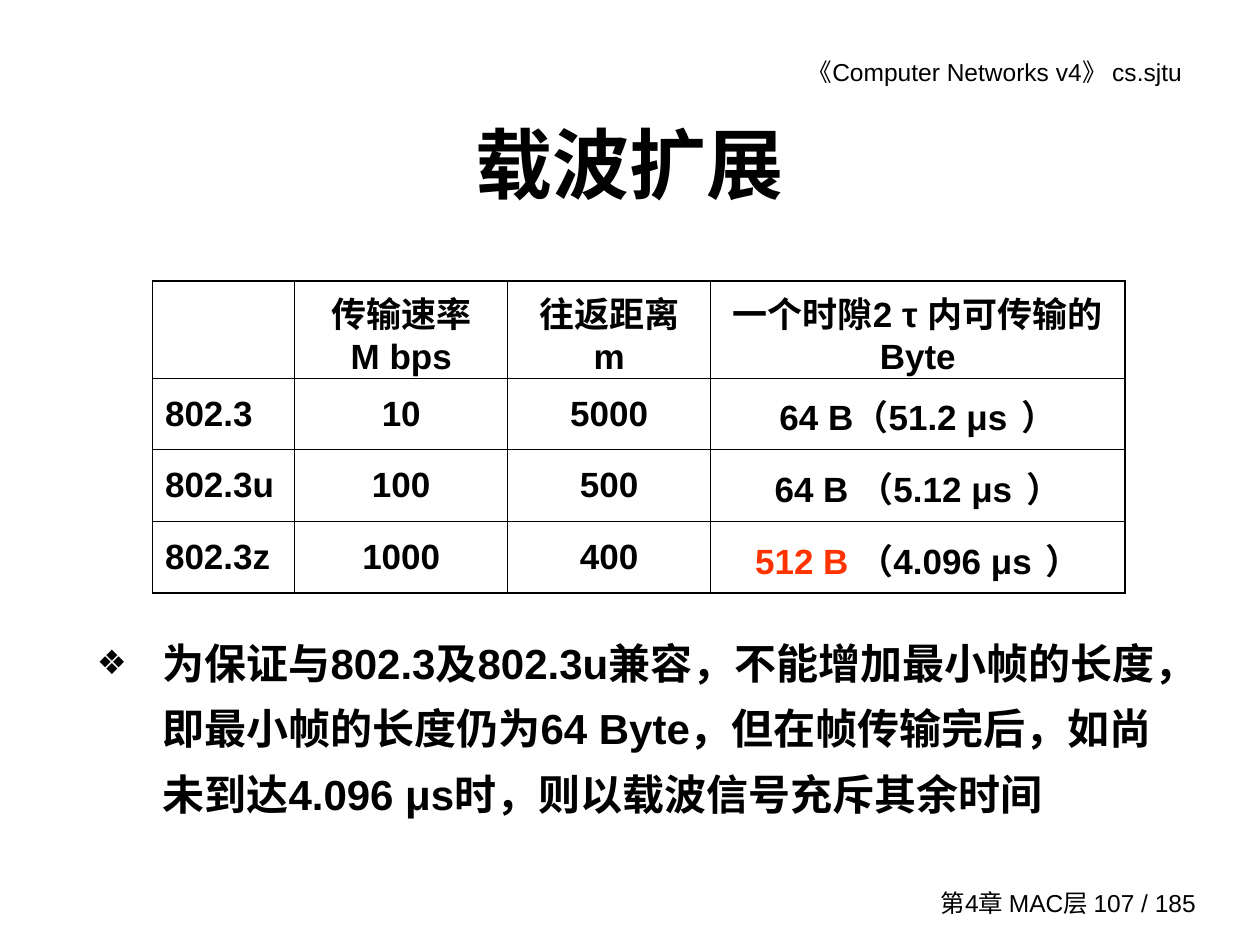
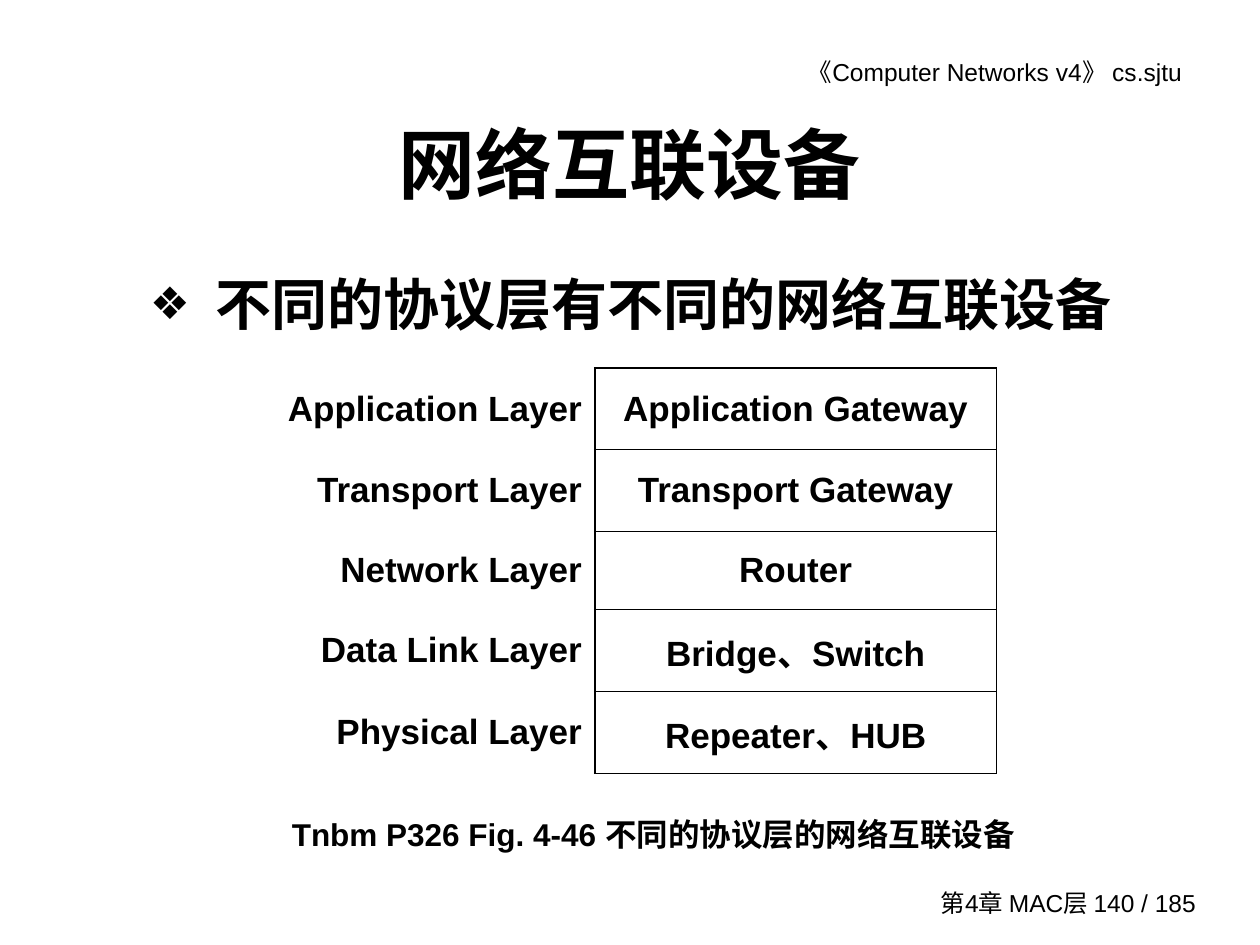
"""Build two lecture slides on carrier extension and network interconnection devices."""
from lxml.etree import SubElement
from pptx import Presentation
from pptx.dml.color import RGBColor
from pptx.enum.text import MSO_ANCHOR as Anchor, MSO_AUTO_SIZE as AutoSize, PP_ALIGN as Align
from pptx.oxml.ns import qn
from pptx.util import Inches, Pt

COLOURS = {"text": "000000", "highlight": "FF3300"}
FONT = "Arial"
OUTER_LINE, INNER_LINE = 1.08, 0.45


def write_text(text_frame, pieces, size, alignment, bold=True):
    paragraph = text_frame.paragraphs[0]
    paragraph.alignment = alignment
    paragraph.text = pieces[0]
    for piece in pieces[1:]:
        paragraph.add_run().text = piece
    for run in paragraph.runs:
        run.font.name = FONT
        run.font.size = Pt(size)
        run.font.bold = bold
        run.font.color.rgb = RGBColor.from_string(COLOURS["text"])
    return paragraph


def add_grid(slide, left, top, widths, heights, rows, alignments, first_ruled=0):
    frame = slide.shapes.add_table(len(rows), len(widths), Inches(left), Inches(top),
                                   Inches(sum(widths)), Inches(sum(heights)))
    table = frame.table
    table.first_row = table.horz_banding = False
    for column, width in zip(table.columns, widths):
        column.width = Inches(width)
    for row, height in zip(table.rows, heights):
        row.height = Inches(height)
    for r, row in enumerate(rows):
        for c, pieces in enumerate(row):
            cell = table.cell(r, c)
            cell.vertical_anchor = Anchor.MIDDLE
            if pieces:
                write_text(cell.text_frame, pieces, 20, alignments[c])
            edges = (("a:lnL", c, first_ruled, len(widths), c >= first_ruled),
                     ("a:lnR", c + 1, first_ruled, len(widths), c + 1 >= first_ruled),
                     ("a:lnT", r, 0, len(rows), c >= first_ruled),
                     ("a:lnB", r + 1, 0, len(rows), c >= first_ruled))
            properties = cell._tc.get_or_add_tcPr()
            for tag, position, start, end, ruled in edges:
                weight = OUTER_LINE if position in (start, end) else INNER_LINE
                line = SubElement(properties, qn(tag), w=str(Pt(weight)))
                if ruled:
                    fill = SubElement(line, qn("a:solidFill"))
                    SubElement(fill, qn("a:srgbClr"), val=COLOURS["text"])
                else:
                    SubElement(line, qn("a:noFill"))
            cell.fill.background()
    return table


presentation = Presentation()
presentation.slide_width, presentation.slide_height = Inches(10), Inches(7.5)

pages = [
    ("载波扩展", 107, (0.75, 4.93, 8.5, 1.77), 24, 1.3,
     "为保证与802.3及802.3u兼容，不能增加最小帧的长度，即最小帧的长度仍为64 Byte，"
     "但在帧传输完后，如尚未到达4.096 μs时，则以载波信号充斥其余时间"),
    ("网络互联设备", 140, (1.17, 1.92, 8.08, 1), 32, 1.4, "不同的协议层有不同的网络互联设备"),
]

slides = []
for title_text, number, body_box, body_size, line_spacing, body_text in pages:
    slide = presentation.slides.add_slide(presentation.slide_layouts[5])
    slides.append(slide)

    header = slide.shapes.add_textbox(Inches(5.36), Inches(0.4), Inches(4.23), Inches(0.34))
    header.text_frame.word_wrap = True
    header.text_frame.margin_right = Inches(0.21)
    write_text(header.text_frame, ["《Computer Networks v4》 cs.sjtu"], 14, Align.RIGHT, False)

    footer = slide.shapes.add_textbox(Inches(7.3), Inches(7), Inches(2.29), Inches(0.33))
    footer.text_frame.word_wrap = True
    footer.text_frame.vertical_anchor = Anchor.MIDDLE
    write_text(footer.text_frame, [f"第4章 MAC层 {number} / 185"], 14, Align.RIGHT, False)

    title = slide.shapes.title
    title.left, title.top, title.width, title.height = map(Inches, (0.75, 0.67, 8.5, 1.25))
    title.text_frame.vertical_anchor = Anchor.MIDDLE
    write_text(title.text_frame, [title_text], 44, Align.CENTER)

    body = slide.shapes.add_textbox(*map(Inches, body_box))
    paragraph = write_text(body.text_frame, [body_text], body_size, Align.LEFT)
    paragraph.line_spacing = line_spacing
    properties = paragraph._p.get_or_add_pPr()
    properties.set("marL", str(Inches(0.52)))
    properties.set("indent", str(-Inches(0.52)))
    SubElement(SubElement(properties, qn("a:buClr")), qn("a:srgbClr"), val=COLOURS["text"])
    SubElement(properties, qn("a:buSzPct"), val="80000")
    SubElement(properties, qn("a:buFont"), typeface=FONT)
    SubElement(properties, qn("a:buChar"), char="❖")

    for shape in (title, body):
        text_frame = shape.text_frame
        text_frame.word_wrap = True
        text_frame.auto_size = AutoSize.NONE
        text_frame.margin_left = text_frame.margin_right = Inches(0.02)
        text_frame.margin_top = text_frame.margin_bottom = Inches(0.01)

carrier_slide, device_slide = slides

ethernet_rows = [
    [None, ["传输速率 M bps"], ["往返距离 m"], ["一个时隙2 τ 内可传输的Byte"]],
    [["802.3"], ["10"], ["5000"], ["64 B", "（51.2 μs", " ", "）"]],
    [["802.3u"], ["100"], ["500"], ["64 B ", "（5.12 μs", " ", "）"]],
    [["802.3z"], ["1000"], ["400"], ["512 B ", "（4.096 μs", " ", "）"]],
]
ethernet_table = add_grid(carrier_slide, 1.21, 2.23, [1.13, 1.69, 1.61, 3.29],
                          [0.77, 0.57, 0.57, 0.57], ethernet_rows,
                          [Align.LEFT] + [Align.CENTER] * 3)
rate_heading = ethernet_table.cell(0, 1)
rate_heading.margin_left = rate_heading.margin_right = Inches(0.17)
for r in range(1, len(ethernet_rows)):
    slot_runs = ethernet_table.cell(r, 3).text_frame.paragraphs[0].runs
    slot_runs[2].font.size = Pt(28)
slot_runs[0].font.color.rgb = RGBColor.from_string(COLOURS["highlight"])

layer_devices = [
    ("Application Layer", "Application Gateway"),
    ("Transport Layer", "Transport Gateway"),
    ("Network Layer", "Router"),
    ("Data Link Layer", "Bridge、Switch"),
    ("Physical Layer", "Repeater、HUB"),
]
add_grid(device_slide, 2.15, 2.92, [2.57, 3.19], [0.65, 0.65, 0.62, 0.65, 0.65],
         [[[layer], [device]] for layer, device in layer_devices],
         [Align.RIGHT, Align.CENTER], first_ruled=1)

caption = device_slide.shapes.add_textbox(Inches(2.17), Inches(6.42), Inches(6.03), Inches(0.4))
caption.text_frame.word_wrap = True
write_text(caption.text_frame, ["Tnbm P326 Fig. 4-46 不同的协议层的网络互联设备"], 18, Align.CENTER)

presentation.save("out.pptx")
